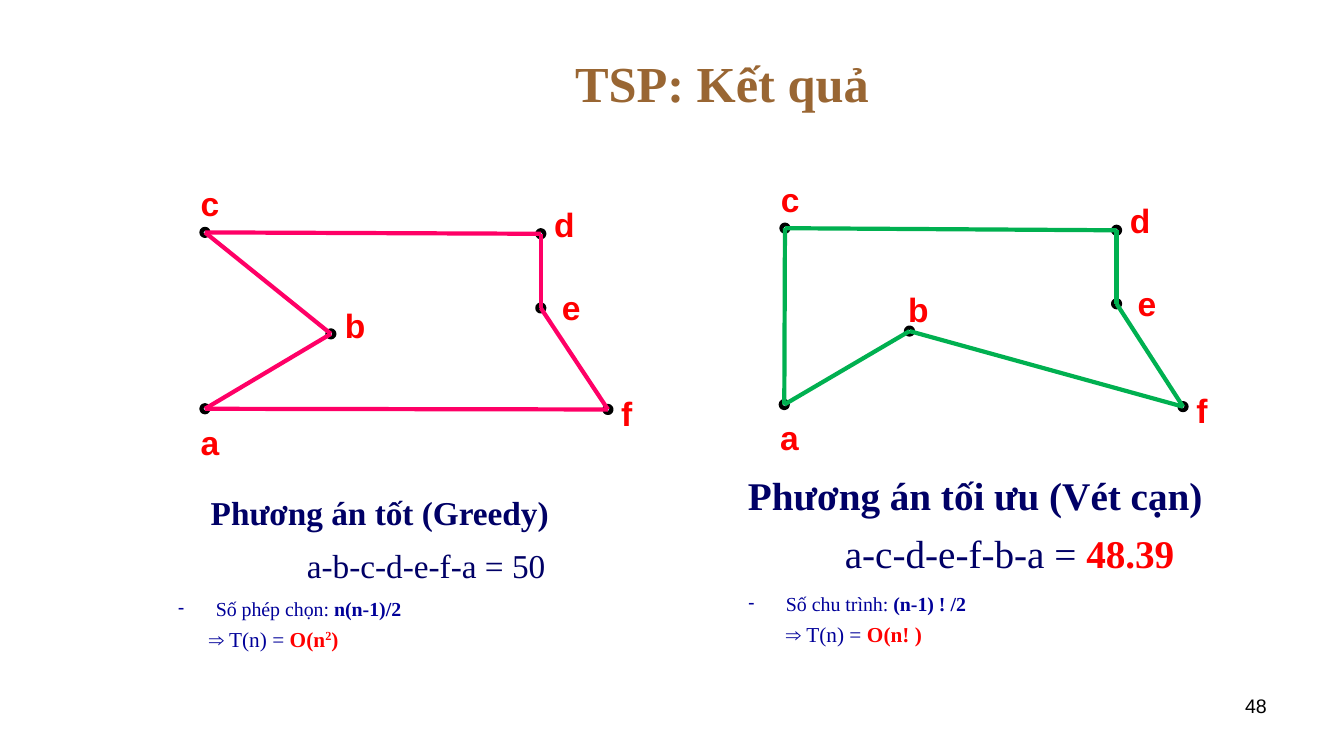
from lxml import etree
from pptx import Presentation
from pptx.dml.color import RGBColor
from pptx.enum import shapes, text
from pptx.oxml import ns
from pptx.util import Pt

COLORS = {"title": "996633", "navy": "000066", "blue": "000099", "red": "FF0000",
          "pink": "FF0066", "green": "00B050", "dot": "BBE0E3", "black": "000000"}
SERIF, SANS = "Times New Roman", "Arial"
DOT, LINE_WIDTH = 5, 3
LABEL_SIZE = (83, 29)

TITLE = "TSP: Kết quả"
PAGE_NUMBER = "48"
LABEL_OFFSETS = {"a": (-3, 9), "b": (10, -21), "c": (-3, -35),
                 "d": (9.5, -21.5), "e": (15, -15), "f": (9.5, -12)}

# Runs are (text, colour, bold) with an optional dict of further settings.
SOLUTIONS = [
    {
        "tour": "abcdefa", "color": "pink", "label_offsets": {},
        "nodes": {"a": (146.5, 292), "b": (236.5, 238.5), "c": (146.5, 166),
                  "d": (386.5, 167), "e": (386.5, 220), "f": (434.5, 292.5)},
        "caption_box": (143.5, 351, 322, 66), "caption_size": 23.8,
        "caption_spacing": 0.9, "caption_gap": 12.5,
        "caption": [("Phương án tốt (Greedy)", "navy", True)],
        "route": [("a-b-c-d-e-f-a = 50", "navy", False)],
        "list_box": (120, 425.5, 377.5, 53.5), "result_margin": 22,
        "count": [("Số phép chọn: ", "blue", False), ("n(n-1)/2", "blue", True)],
        "result": [("⇒", "blue", False, {"font": SANS}), (" T(n) = ", "blue", False),
                   ("O(n", "red", True), ("2", "red", True, {"raised": 30}),
                   (")", "red", True)],
    },
    {
        "tour": "acdefba", "color": "green", "label_offsets": {"b": (-1, -30.5)},
        "nodes": {"a": (560.5, 289), "b": (650, 236.5), "c": (561, 163),
                  "d": (798, 164.5), "e": (798, 217), "f": (845.5, 290.5)},
        "caption_box": (527.5, 333, 388, 84), "caption_size": 28,
        "caption_spacing": 1, "caption_gap": 8,
        "caption": [("Phương án tối ưu (Vét cạn)", "navy", True)],
        "route": [("a-c-d-e-f-b-a = ", "navy", False), ("48.39", "red", True)],
        "list_box": (527.5, 422, 377.5, 53.5), "result_margin": 27,
        "count": [("Số chu trình: ", "blue", False), ("(n-1) ! /2", "blue", True)],
        "result": [("⇒", "blue", False, {"font": SANS}), (" T(n) = ", "blue", False),
                   ("O(n! )", "red", True)],
    },
]


def rgb(name):
    return RGBColor.from_string(COLORS[name])


def place(shape, box):
    shape.left, shape.top, shape.width, shape.height = map(Pt, box)


def add_runs(paragraph, runs, size, font=SERIF):
    for content, color, bold, *extra in runs:
        settings = extra[0] if extra else {}
        run = paragraph.add_run()
        run.text = content
        run.font.size = Pt(size)
        run.font.name = settings.get("font", font)
        run.font.bold = bold
        run.font.color.rgb = rgb(color)
        if "raised" in settings:
            run.font._element.set("baseline", str(settings["raised"] * 1000))


def prepare_frame(shape, inset=True):
    frame = shape.text_frame
    frame.word_wrap = True
    frame.auto_size = text.MSO_AUTO_SIZE.NONE
    frame.margin_left = frame.margin_right = Pt(7.2 if inset else 0)
    frame.margin_top = frame.margin_bottom = Pt(3.6 if inset else 0)
    return frame


def add_text_box(slide, box, inset=True):
    return prepare_frame(slide.shapes.add_textbox(*map(Pt, box)), inset)


def set_bullet(paragraph, margin, indent=0, mark=None):
    properties = paragraph._p.get_or_add_pPr()
    properties.set("marL", str(Pt(margin)))
    properties.set("indent", str(Pt(indent)))
    bullet = etree.SubElement(properties, ns.qn("a:buChar" if mark else "a:buNone"))
    if mark:
        bullet.set("char", mark)


def add_tour(slide, solution):
    nodes = solution["nodes"]
    offsets = {**LABEL_OFFSETS, **solution["label_offsets"]}
    for name, (x, y) in nodes.items():
        dot = slide.shapes.add_shape(shapes.MSO_SHAPE.OVAL, Pt(x - DOT / 2),
                                     Pt(y - DOT / 2), Pt(DOT), Pt(DOT))
        dot.shadow.inherit = False
        dot.fill.solid()
        dot.fill.fore_color.rgb = rgb("dot")
        dot.line.color.rgb = rgb("black")
        dot.line.width = Pt(LINE_WIDTH)
        dx, dy = offsets[name]
        label = add_text_box(slide, (x + dx, y + dy, *LABEL_SIZE), inset=False)
        add_runs(label.paragraphs[0], [(name, "red", True)], 24, SANS)
    for start, end in zip(solution["tour"], solution["tour"][1:]):
        edge = slide.shapes.add_connector(shapes.MSO_CONNECTOR.STRAIGHT,
                                          *map(Pt, nodes[start] + nodes[end]))
        edge.line.color.rgb = rgb(solution["color"])
        edge.line.width = Pt(LINE_WIDTH)
        etree.SubElement(edge._element.spPr, ns.qn("a:effectLst"))


def add_caption(slide, solution):
    frame = add_text_box(slide, solution["caption_box"])
    heading, route = frame.paragraphs[0], frame.add_paragraph()
    route.alignment = text.PP_ALIGN.CENTER
    route.space_before = Pt(solution["caption_gap"])
    for paragraph, key in ((heading, "caption"), (route, "route")):
        paragraph.line_spacing = solution["caption_spacing"]
        add_runs(paragraph, solution[key], solution["caption_size"])


def fill_cost_list(placeholder, solution):
    place(placeholder, solution["list_box"])
    frame = prepare_frame(placeholder)
    count, result = frame.paragraphs[0], frame.add_paragraph()
    set_bullet(count, 27, -27, "-")
    set_bullet(result, solution["result_margin"])
    for paragraph, key, size, gap in ((count, "count", 14.2, 0), (result, "result", 15.2, 8)):
        paragraph.line_spacing = 0.8
        paragraph.space_before = Pt(gap)
        add_runs(paragraph, solution[key], size)


def main():
    presentation = Presentation()
    presentation.slide_width, presentation.slide_height = Pt(960.5), Pt(540)
    slide = presentation.slides.add_slide(presentation.slide_layouts.get_by_name("Two Content"))
    title, *lists = slide.placeholders

    place(title, (120, 21.5, 792, 74))
    frame = prepare_frame(title)
    frame.vertical_anchor = text.MSO_ANCHOR.MIDDLE
    frame.paragraphs[0].alignment = text.PP_ALIGN.CENTER
    add_runs(frame.paragraphs[0], [(TITLE, "title", True)], 36)

    for solution, placeholder in zip(SOLUTIONS, lists):
        add_tour(slide, solution)
        add_caption(slide, solution)
        fill_cost_list(placeholder, solution)

    number = add_text_box(slide, (688.5, 492, 224, 37.5)).paragraphs[0]
    number.alignment = text.PP_ALIGN.RIGHT
    add_runs(number, [(PAGE_NUMBER, "black", False)], 14, SANS)
    presentation.save("out.pptx")


if __name__ == "__main__":
    main()
